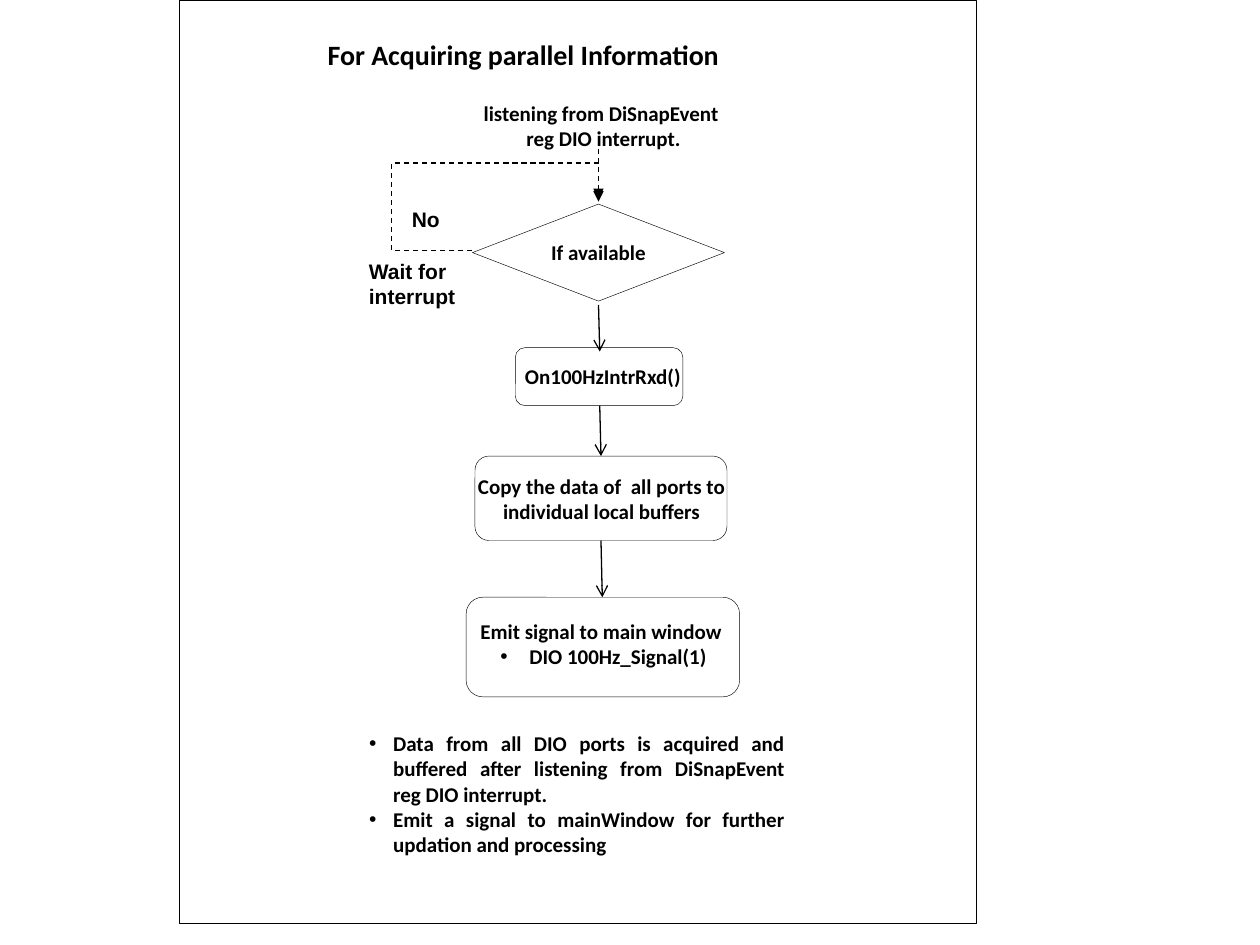
from dataclasses import dataclass

from lxml import etree
from pptx import Presentation
from pptx.enum import dml, shapes, text
from pptx.oxml.ns import qn
from pptx.util import Inches, Pt

COLORS = {"ink": "000000"}
MSO, ALIGN = shapes.MSO_SHAPE, text.PP_ALIGN
INK = dml.MSO_THEME_COLOR.TEXT_1


@dataclass
class Box:
    kind: MSO
    left: float
    top: float
    width: float
    height: float
    label: str = ""


@dataclass
class Label:
    lines: tuple
    left: float
    top: float
    width: float
    height: float
    align: ALIGN = ALIGN.CENTER
    font: str = "Calibri"
    bullets: tuple = ()


@dataclass
class Arrow:
    start: tuple
    end: tuple
    head: str = "arrow"
    dashed: bool = False
    bends: tuple = ()


def ink(color):
    from_hex = type(BLACK).from_string
    color.rgb = from_hex(COLORS["ink"])


def place(sp, left, top, width, height):
    sp.left, sp.top = Inches(left), Inches(top)
    sp.width, sp.height = Inches(width), Inches(height)


def write(sp, lines, *, size=12, font="Calibri", align=ALIGN.LEFT,
          anchor=text.MSO_ANCHOR.TOP, inset=(0.1, 0.05), bullets=(), indent=0.19):
    """Fill a shape with bold paragraphs; bullets holds the indexes of list lines."""
    tf = sp.text_frame
    tf.word_wrap, tf.auto_size = True, text.MSO_AUTO_SIZE.NONE
    tf.vertical_anchor = anchor
    tf.margin_left = tf.margin_right = Inches(inset[0])
    tf.margin_top = tf.margin_bottom = Inches(inset[1])
    for i, line in enumerate(lines):
        p = tf.paragraphs[0] if i == 0 else tf.add_paragraph()
        p.alignment, p.space_before = align, Pt(0)
        r = p.add_run()
        r.text = line
        r.font.size, r.font.name, r.font.bold = Pt(size), font, True
        ink(r.font.color)
        if i in bullets:
            pPr = p._p.get_or_add_pPr()
            pPr.set("marL", str(Inches(indent)))
            pPr.set("indent", str(-Inches(indent)))
            etree.SubElement(pPr, qn("a:buFont")).set("typeface", "Arial")
            etree.SubElement(pPr, qn("a:buChar")).set("char", "•")


def add_box(slide, box: Box):
    sp = slide.shapes.add_shape(box.kind, Inches(box.left), Inches(box.top),
                                Inches(box.width), Inches(box.height))
    sp.shadow.inherit = False
    sp.fill.background()
    ink(sp.line.color)
    sp.line.width = Pt(0.26)
    if box.label:
        write(sp, [box.label], align=ALIGN.CENTER, inset=(0, 0),
              anchor=text.MSO_ANCHOR.MIDDLE)
    return sp


def add_label(slide, label: Label):
    sp = slide.shapes.add_textbox(0, 0, 0, 0)
    place(sp, label.left, label.top, label.width, label.height)
    write(sp, label.lines, align=label.align, font=label.font,
          bullets=label.bullets, indent=0.23)


def add_arrow(slide, arrow: Arrow):
    kind = shapes.MSO_CONNECTOR.ELBOW if arrow.bends else shapes.MSO_CONNECTOR.STRAIGHT
    cxn = slide.shapes.add_connector(kind, *map(Inches, arrow.start + arrow.end))
    ink(cxn.line.color)
    cxn.line.width = Pt(0.74)
    if arrow.dashed:
        cxn.line.dash_style = dml.MSO_LINE.DASH
    spPr = cxn._element.spPr
    etree.SubElement(spPr.find(qn("a:ln")), qn("a:tailEnd")).set("type", arrow.head)
    etree.SubElement(spPr, qn("a:effectLst"))
    if arrow.bends:
        geom = spPr.find(qn("a:prstGeom"))
        geom.set("prst", "bentConnector4")
        avLst = geom.find(qn("a:avLst"))
        if avLst is None:
            avLst = etree.SubElement(geom, qn("a:avLst"))
        for i, share in enumerate(arrow.bends, 1):
            gd = etree.SubElement(avLst, qn("a:gd"))
            gd.set("name", f"adj{i}")
            gd.set("fmla", f"val {round(share * 100000)}")


from pptx.dml.color import RGBColor

BLACK = RGBColor.from_string(COLORS["ink"])

BOXES = [
    Box(MSO.RECTANGLE, 1.42, 0, 6.33, 7.33),
    Box(MSO.FLOWCHART_DECISION, 3.75, 1.62, 2, 0.77, "If available"),
    Box(MSO.ROUNDED_RECTANGLE, 4.09, 2.76, 1.33, 0.46),
    Box(MSO.ROUNDED_RECTANGLE, 3.77, 3.62, 2, 0.67),
    Box(MSO.ROUNDED_RECTANGLE, 3.7, 4.74, 2.17, 0.79),
]
LABELS = [
    Label(("listening from DiSnapEvent ", "reg DIO interrupt."), 3.33, 0.75, 2.92, 0.5),
    Label(("No",), 3.17, 1.59, 0.58, 0.3, ALIGN.LEFT, "Arial"),
    Label(("Wait for ", "interrupt"), 2.83, 2, 1, 0.5, ALIGN.JUSTIFY, "Arial"),
    Label(("On100HzIntrRxd()",), 4.01, 2.84, 1.55, 0.3),
    Label(("Copy the data of  all ports to individual local buffers",),
          3.69, 3.71, 2.17, 0.5),
    Label(("Emit signal to main window ", "DIO 100Hz_Signal(1)"),
          3.67, 4.86, 2.24, 0.5, bullets=(1,)),
]
ARROWS = [
    Arrow((4.75, 1.18), (4.75, 1.6), "triangle", True),
    Arrow((3.75, 1.99), (4.75, 1.58), "triangle", True, (-0.64, 1.7)),
    Arrow((4.75, 2.42), (4.76, 2.79)),
    Arrow((4.76, 3.22), (4.77, 3.62)),
    Arrow((4.77, 4.29), (4.78, 4.74)),
]
NOTES = [
    "Data from all DIO ports is acquired and buffered after listening from "
    "DiSnapEvent reg DIO interrupt.",
    "Emit a signal to mainWindow for further updation and processing",
]

prs = Presentation()
prs.slide_width, prs.slide_height = Inches(10), Inches(7.5)
s = prs.slides.add_slide(prs.slide_layouts[1])

# Title and closing list
title, body = s.placeholders
place(title, 2.5, 0.25, 3.49, 0.37)
write(title, ["For Acquiring parallel Information"], size=16)
place(body, 2.83, 5.75, 3.5, 1.1)
write(body, NOTES, align=ALIGN.JUSTIFY, bullets=(0, 1))

# Flow chart
for box in BOXES:
    add_box(s, box)
for label in LABELS:
    add_label(s, label)
for arrow in ARROWS:
    add_arrow(s, arrow)

prs.save("out.pptx")
